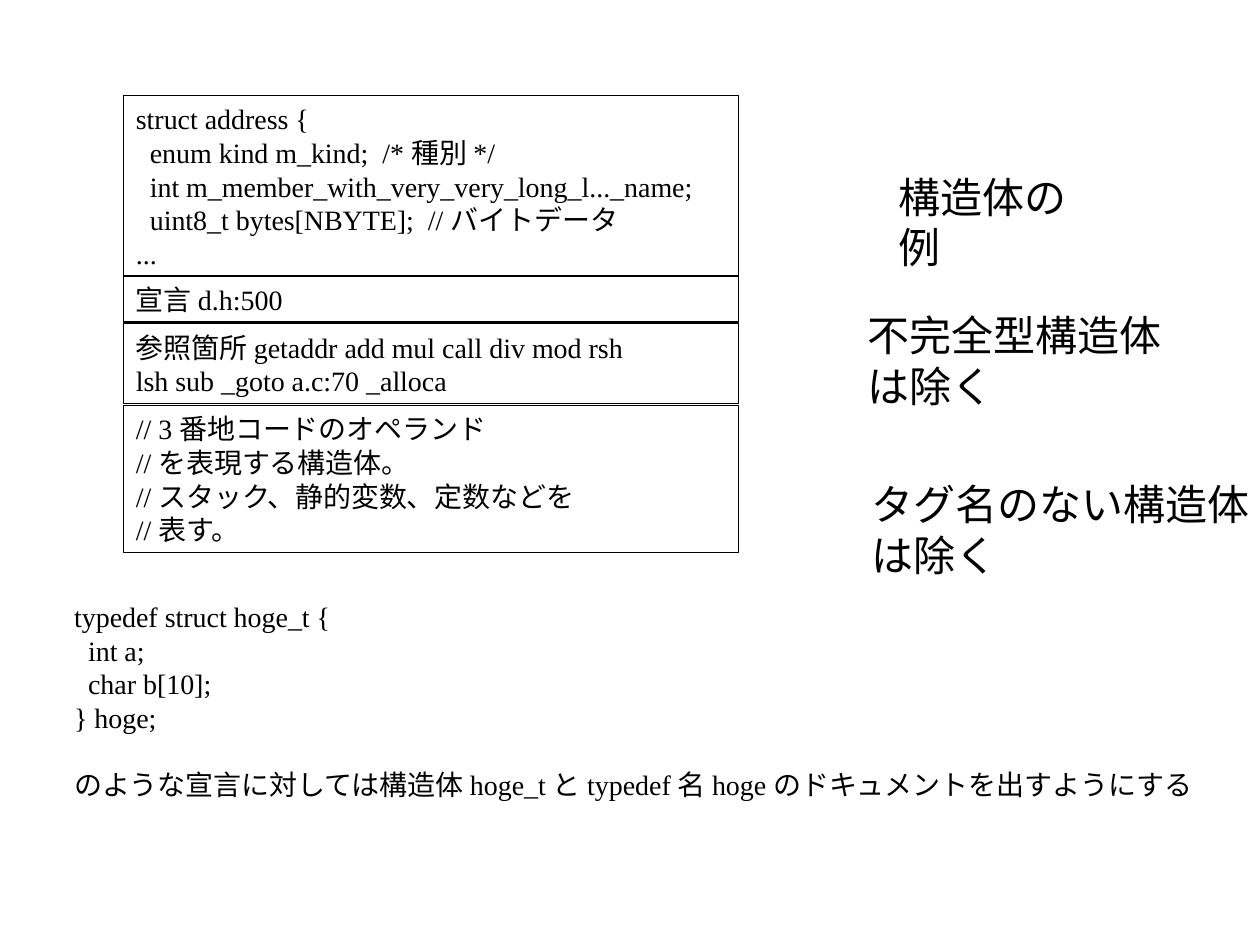
from pptx import Presentation
from pptx.dml.color import RGBColor
from pptx.enum.shapes import MSO_SHAPE as Shape
from pptx.enum.text import MSO_ANCHOR as Anchor, MSO_AUTO_SIZE as AutoSize, PP_ALIGN as Align
from pptx.util import Inches, Pt

THEME = {
    "font": "Times New Roman",
    "ink": RGBColor(0, 0, 0),
    "code": 16,
    "remark": 24,
    "border": 0.75,
}

# Content: compartments of the struct box, as (top, lines)
COMPARTMENTS = [
    (0.76, [
        "struct address {",
        "  enum kind m_kind;  /* 種別 */",
        "  int m_member_with_very_very_long_l..._name;",
        "  uint8_t bytes[NBYTE];  // バイトデータ",
        "...",
    ]),
    (2.19, ["宣言 d.h:500"]),
    (2.57, [
        "参照箇所 getaddr add mul call div mod rsh",
        "lsh sub _goto a.c:70 _alloca",
    ]),
    (3.22, [
        "// 3 番地コードのオペランド",
        "// を表現する構造体。",
        "// スタック、静的変数、定数などを",
        "// 表す。",
    ]),
]

# Remarks on the right, as (left, top, width, lines)
REMARKS = [
    (7.03, 1.31, 1.86, ["構造体の例"]),
    (6.79, 2.41, 2.53, ["不完全型構造体", "は除く"]),
    (6.82, 3.75, 3.2, ["タグ名のない構造体", "は除く"]),
]

TYPEDEF = [
    "typedef struct hoge_t {",
    "  int a;",
    "  char b[10];",
    "} hoge;",
    "のような宣言に対しては構造体 hoge_t と typedef 名 hoge のドキュメントを出すようにする",
]

BOX_LEFT, BOX_WIDTH = 0.98, 4.88
LINE_PITCH = 1.2  # line height as a multiple of the type size
PADDING = 0.1     # top and bottom insets together


def add_text(page, lines, left, top, width, size, framed=False, last_gap=0):
    """Place lines as paragraphs, in a bordered box or as free text."""
    height = (len(lines) * size * LINE_PITCH + last_gap) / 72 + PADDING
    place = [Inches(value) for value in (left, top, width, height)]
    if framed:
        box = page.shapes.add_shape(Shape.RECTANGLE, *place)
        box.shadow.inherit = False
        box.fill.background()
        box.line.color.rgb = THEME["ink"]
        box.line.width = Pt(THEME["border"])
    else:
        box = page.shapes.add_textbox(*place)
    frame = box.text_frame
    frame.word_wrap = framed
    frame.auto_size = AutoSize.SHAPE_TO_FIT_TEXT
    frame.vertical_anchor = Anchor.TOP
    for index, line in enumerate(lines):
        para = frame.add_paragraph() if index else frame.paragraphs[0]
        para.alignment = Align.LEFT
        span = para.add_run()
        span.text = line
        span.font.name = THEME["font"]
        span.font.size = Pt(size)
        span.font.color.rgb = THEME["ink"]
    if last_gap:
        para.space_before = Pt(last_gap)


def main():
    deck = Presentation()
    deck.slide_width, deck.slide_height = Inches(10), Inches(7.5)
    page = deck.slides.add_slide(deck.slide_layouts[6])

    # Struct documentation box
    for top, lines in COMPARTMENTS:
        add_text(page, lines, BOX_LEFT, top, BOX_WIDTH, THEME["code"], framed=True)

    # Remarks beside it
    for left, top, width, lines in REMARKS:
        add_text(page, lines, left, top, width, THEME["remark"])

    # Typedef example with its explanation one line below
    add_text(page, TYPEDEF, 0.49, 4.71, 9.4, THEME["code"], last_gap=19)

    deck.save("out.pptx")


if __name__ == "__main__":
    main()
